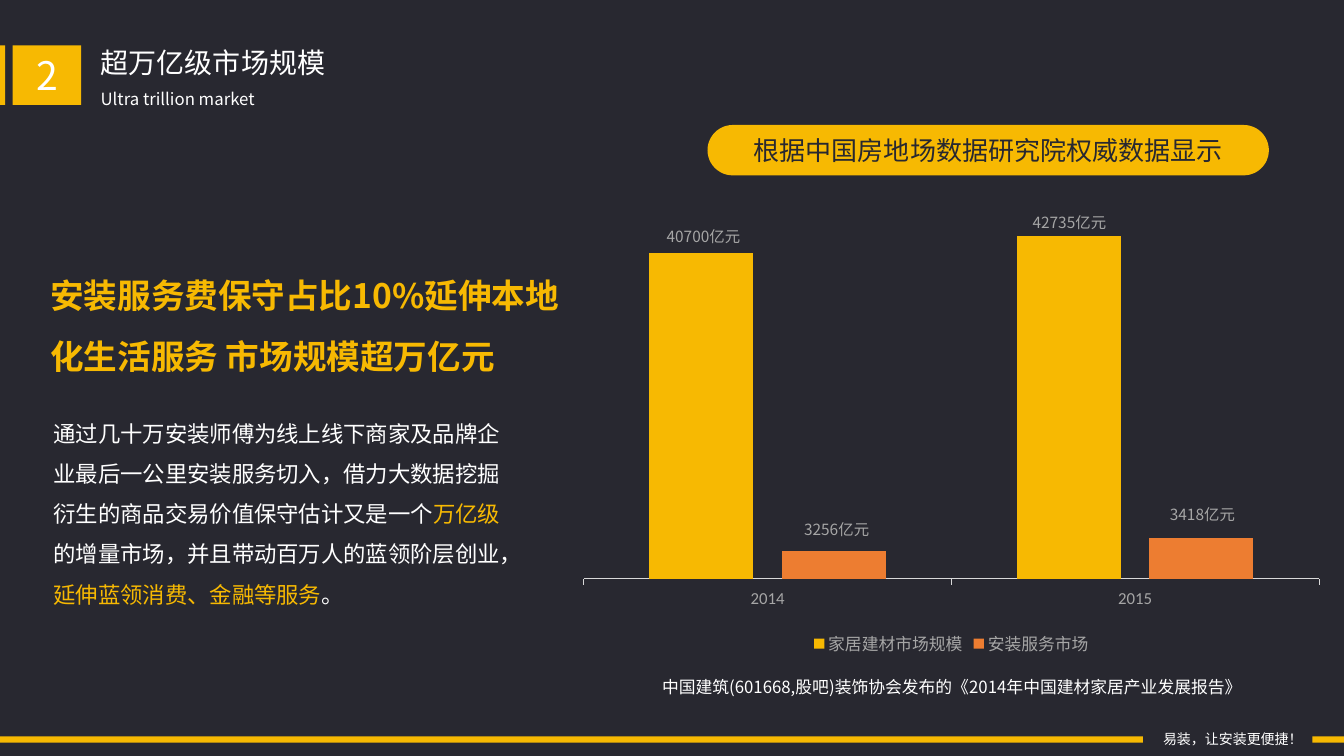
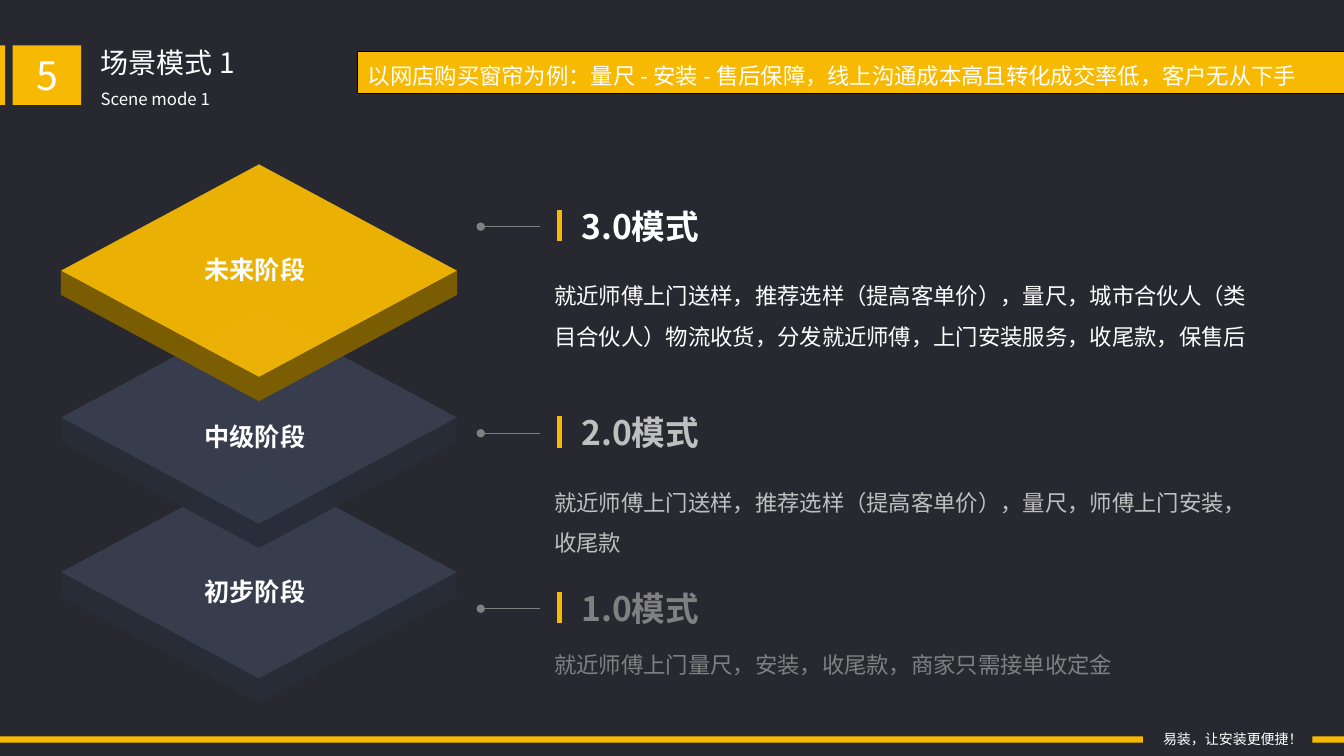
"""Builds two dark slides on market size and service modes."""
from lxml import etree
from pptx import Presentation
from pptx import util as u
from pptx.chart.data import CategoryChartData
from pptx.dml.color import RGBColor
from pptx.enum import chart as charts, shapes, text
from pptx.oxml.ns import qn

FONT = "Noto Sans CJK SC"
GOLD, DARK, WHITE = "F7B902", "282830", "FFFFFF"
ORANGE, BRONZE, SLATE, NAVY = "ED7D31", "806000", "383F4E", "282D38"
SILVER, ASH, GREY, PALE, BLACK = "BFBFBF", "A6A6A6", "808080", "D9D9D9", "000000"
LEFT, CENTER = text.PP_ALIGN.LEFT, text.PP_ALIGN.CENTER
TOP, MIDDLE = text.MSO_ANCHOR.TOP, text.MSO_ANCHOR.MIDDLE
RECT = shapes.MSO_SHAPE.RECTANGLE


def colour(value):
    """Turn a hex string into a colour."""
    return RGBColor.from_string(value)


def points(values):
    """Turn numbers into lengths in points."""
    return [u.Pt(value) for value in values]


def write(frame, runs, size, spacing=1.0, align=LEFT, bold=False, anchor=TOP, wrap=True):
    """Fill a text frame with one paragraph of (text, colour) runs."""
    frame.word_wrap = wrap
    frame.auto_size = text.MSO_AUTO_SIZE.NONE
    frame.vertical_anchor = anchor
    para = frame.paragraphs[0]
    para.alignment = align
    para.line_spacing = spacing
    para.space_before = u.Pt(0)
    for words, tint in runs:
        span = para.add_run()
        span.text = words
        span.font.size = u.Pt(size)
        span.font.bold = bold
        span.font.color.rgb = colour(tint)
        span.font.name = FONT
        etree.SubElement(span.font._element, qn("a:ea"), typeface=FONT)
    return para


def add_label(slide, area, words, size, tint, **style):
    """Add a text box in a single colour."""
    box = slide.shapes.add_textbox(*points(area))
    write(box.text_frame, [(words, tint)], size, **style)
    return box


def paint(shape, fill, line=None):
    """Give a shape a flat fill and an optional thin outline."""
    shape.shadow.inherit = False
    shape.fill.solid()
    shape.fill.fore_color.rgb = colour(fill)
    if line:
        shape.line.color.rgb = colour(line)
        shape.line.width = u.Pt(0.75)
    else:
        shape.line.fill.background()


def add_block(slide, area, kind=RECT, line=None):
    """Add a gold preset shape."""
    block = slide.shapes.add_shape(kind, *points(area))
    paint(block, GOLD, line)
    return block


def add_line(slide, ends, tint, width, dot=False):
    """Add a straight line, with a dot at its end if wanted."""
    line = slide.shapes.add_connector(shapes.MSO_CONNECTOR.STRAIGHT, *points(ends))
    line.line.color.rgb = colour(tint)
    line.line.width = u.Pt(width)
    if dot:
        outline = line.element.xpath("p:spPr/a:ln")[0]
        etree.SubElement(outline, qn("a:tailEnd"), type="oval")
    etree.SubElement(line.element.spPr, qn("a:effectLst"))


def add_outline(slide, corners, fill):
    """Add a closed, slightly transparent polygon."""
    first, *rest = [tuple(points(corner)) for corner in corners]
    builder = slide.shapes.build_freeform(*first, scale=1.0)
    builder.add_line_segments(rest, close=True)
    outline = builder.convert_to_shape()
    paint(outline, fill)
    tint = outline.element.xpath("p:spPr/a:solidFill/a:srgbClr")[0]
    etree.SubElement(tint, qn("a:alpha"), val="94000")


def add_footer(deck, slide):
    """Draw the footer band and hand it to the slide master."""
    parts = [
        add_block(slide, (0, 526, 816.5, 4.5)),
        add_label(slide, (823.7, 518.4, 115.2, 19.4), "易装，让安装更便捷！", 10, WHITE, wrap=False),
        add_block(slide, (937.5, 526, 22.5, 4.5)),
    ]
    for number, part in enumerate(parts, 101):
        part.element.xpath(".//p:cNvPr")[0].set("id", str(number))
        deck.slide_master.shapes.element.append(part.element)


def add_page(deck, layout, number, title, subtitle):
    """Add a slide with its numbered heading."""
    slide = deck.slides.add_slide(deck.slide_layouts[layout])
    heading = slide.shapes.title
    heading.left, heading.top, heading.width, heading.height = points((64.8, 28.8, 285, 31.7))
    write(heading.text_frame, [(title, WHITE)], 20)
    add_label(slide, (64.8, 59.8, 480, 21.6), subtitle, 12, WHITE)
    add_block(slide, (0, 32.4, 3.6, 42.5))
    badge = add_block(slide, (9, 32.4, 49, 42.5))
    frame = badge.text_frame
    frame.margin_top = frame.margin_bottom = 0
    write(frame, [(number, WHITE)], 28, align=CENTER, anchor=MIDDLE)
    return slide


def place_plot(chart, **fractions):
    """Fix the inner plot area as fractions of the chart."""
    plot_area = chart.element.find(".//" + qn("c:plotArea"))
    for old in plot_area.findall(qn("c:layout")):
        plot_area.remove(old)
    layout = etree.Element(qn("c:layout"))
    manual = etree.SubElement(layout, qn("c:manualLayout"))
    settings = {"layoutTarget": "inner", "xMode": "edge", "yMode": "edge", **fractions}
    for name, value in settings.items():
        etree.SubElement(manual, qn("c:" + name), val=str(value))
    plot_area.insert(0, layout)


def style_font(font, name, size, tint):
    """Set the font of a chart part."""
    font.name = name
    font.size = u.Pt(size)
    font.color.rgb = colour(tint)


def add_market_chart(slide):
    """Add the column chart of both markets."""
    data = CategoryChartData()
    data.categories = ["2014", "2015"]
    data.add_series("家居建材市场规模", (95, 100))
    data.add_series("安装服务市场", (8, 12))
    area = points((406, 149, 547.2, 322.6))
    chart = slide.shapes.add_chart(charts.XL_CHART_TYPE.COLUMN_CLUSTERED, *area, data).chart
    style_font(chart.font, "Calibri", 10, BLACK)
    chart.has_title = False
    chart.has_legend = True
    chart.legend.position = charts.XL_LEGEND_POSITION.BOTTOM
    chart.legend.include_in_layout = False
    style_font(chart.legend.font, FONT, 12, ASH)
    plot = chart.plots[0]
    plot.vary_by_categories = False
    plot.gap_width, plot.overlap = 126, -27
    for series, tint in zip(plot.series, (GOLD, ORANGE)):
        series.format.fill.solid()
        series.format.fill.fore_color.rgb = colour(tint)
    values = chart.value_axis
    values.visible = values.has_major_gridlines = False
    values.minimum_scale, values.maximum_scale = 0, 100
    years = chart.category_axis
    years.major_tick_mark = charts.XL_TICK_MARK.OUTSIDE
    years.format.line.color.rgb = colour(PALE)
    years.format.line.width = u.Pt(0.75)
    style_font(years.tick_labels.font, "Calibri", 12, ASH)
    place_plot(chart, x=0.02, y=0.06, w=0.96, h=0.76)


def add_market_text(slide):
    """Add the headline and the body text."""
    add_label(slide, (28.8, 178.6, 378.7, 94.3),
              "安装服务费保守占比10%延伸本地化生活服务 市场规模超万亿元",
              24, GOLD, spacing=1.5, bold=True)
    body = slide.placeholders[1]
    body.left, body.top, body.width, body.height = points((31, 286.6, 340, 172))
    para = write(body.text_frame, [
        ("通过几十万安装师傅为线上线下商家及品牌企业最后一公里安装服务切入，"
         "借力大数据挖掘衍生的商品交易价值保守估计又是一个", WHITE),
        ("万亿级", GOLD),
        ("的增量市场，并且带动百万人的蓝领阶层创业，", WHITE),
        ("延伸蓝领消费、金融等服务", GOLD),
        ("。", WHITE),
    ], 16, spacing=1.5)
    properties = para._p.get_or_add_pPr()
    properties.set("marL", "0")
    properties.set("indent", "0")
    etree.SubElement(properties, qn("a:buNone"))


def fill_market(slide):
    """Fill the slide on market size."""
    add_market_text(slide)
    pill = add_block(slide, (505.4, 89.3, 401, 36), shapes.MSO_SHAPE.ROUNDED_RECTANGLE)
    pill.adjustments[0] = 0.5
    write(pill.text_frame, [("根据中国房地场数据研究院权威数据显示", DARK)], 18.6,
          align=CENTER, anchor=MIDDLE, wrap=False)
    add_market_chart(slide)
    amounts = [("40700亿元", 465.8, 158.4), ("3256亿元", 560.9, 367.9),
               ("42735亿元", 727.2, 149), ("3418亿元", 822.2, 357.1)]
    for amount, left, top in amounts:
        add_label(slide, (left, top, 73.4, 20.9), amount, 11, ASH, align=CENTER)
    add_label(slide, (465.8, 480.2, 481.7, 21.6),
              "中国建筑(601668,股吧)装饰协会发布的《2014年中国建材家居产业发展报告》", 12, WHITE)


def add_tile(slide, top, face, edge, label, label_top):
    """Add one diamond slab with its label."""
    middle, half_width, half_height, depth = 185, 141.5, 76, 17.2
    left, right = middle - half_width, middle + half_width
    side, bottom = top + half_height, top + 2 * half_height
    add_outline(slide, [(right, side), (middle, bottom), (left, side), (middle, top)], face)
    add_outline(slide, [(left, side), (middle, bottom), (right, side), (right, side + depth),
                        (middle, bottom + depth), (left, side + depth)], edge)
    add_label(slide, (139, label_top, 87.1, 28.8), label, 18, WHITE, bold=True, wrap=False)


def add_mode(slide, top, name, details, tint, spacing):
    """Add a mode heading with its pointer, bar and details."""
    pointer = top + 18.6
    add_line(slide, (386, pointer, 343.4, pointer), GREY, 1, dot=True)
    add_label(slide, (408.2, top, 362, 36), name, 24, tint, bold=True)
    add_line(slide, (399.6, top + 6.5, 399.6, top + 28.8), GOLD, 3)
    add_label(slide, (388.8, top + 45.4, 517.7, 65.5), details, 16, tint, spacing=spacing)


def fill_modes(slide):
    """Fill the slide on service modes."""
    banner = add_block(slide, (255.6, 36.7, 711.4, 30.2), line=BLACK)
    write(banner.text_frame,
          [("以网店购买窗帘为例：量尺 - 安装 - 售后保障，线上沟通成本高且转化成交率低，客户无从下手", WHITE)],
          16, spacing=1.2, anchor=MIDDLE)
    modes = [
        (416.2, "1.0模式", "就近师傅上门量尺，安装，收尾款，商家只需接单收定金", GREY, 1.0),
        (290.9, "2.0模式", "就近师傅上门送样，推荐选样（提高客单价），量尺，师傅上门安装，收尾款", SILVER, 1.5),
        (143.3, "3.0模式", "就近师傅上门送样，推荐选样（提高客单价），量尺，城市合伙人（类目合伙人）"
         "物流收货，分发就近师傅，上门安装服务，收尾款，保售后", WHITE, 1.5),
    ]
    for mode in modes:
        add_mode(slide, *mode)
    tiles = [
        (332.8, SLATE, NAVY, "初步阶段", 408.2),
        (222.3, SLATE, NAVY, "中级阶段", 297.4),
        (117.4, GOLD, BRONZE, "未来阶段", 177.8),
    ]
    for tile in tiles:
        add_tile(slide, *tile)


def main():
    """Build and save the deck."""
    deck = Presentation()
    deck.slide_width, deck.slide_height = points((960, 540))
    backdrop = deck.slide_master.background.fill
    backdrop.solid()
    backdrop.fore_color.rgb = colour(DARK)
    market = add_page(deck, 1, "2", "超万亿级市场规模", "Ultra trillion market")
    add_footer(deck, market)
    fill_market(market)
    fill_modes(add_page(deck, 5, "5", "场景模式 1", "Scene mode 1"))
    deck.save("out.pptx")


if __name__ == "__main__":
    main()
